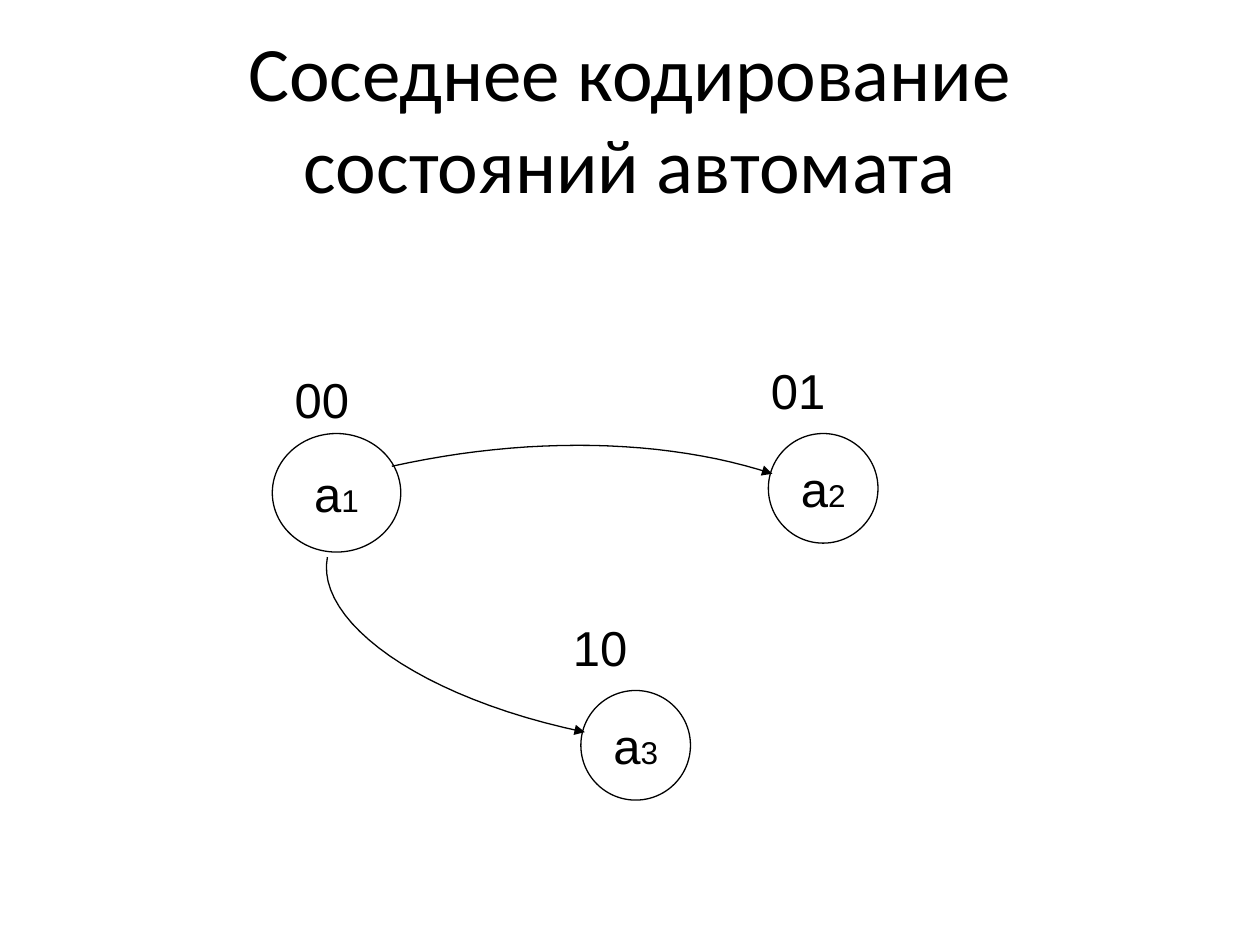
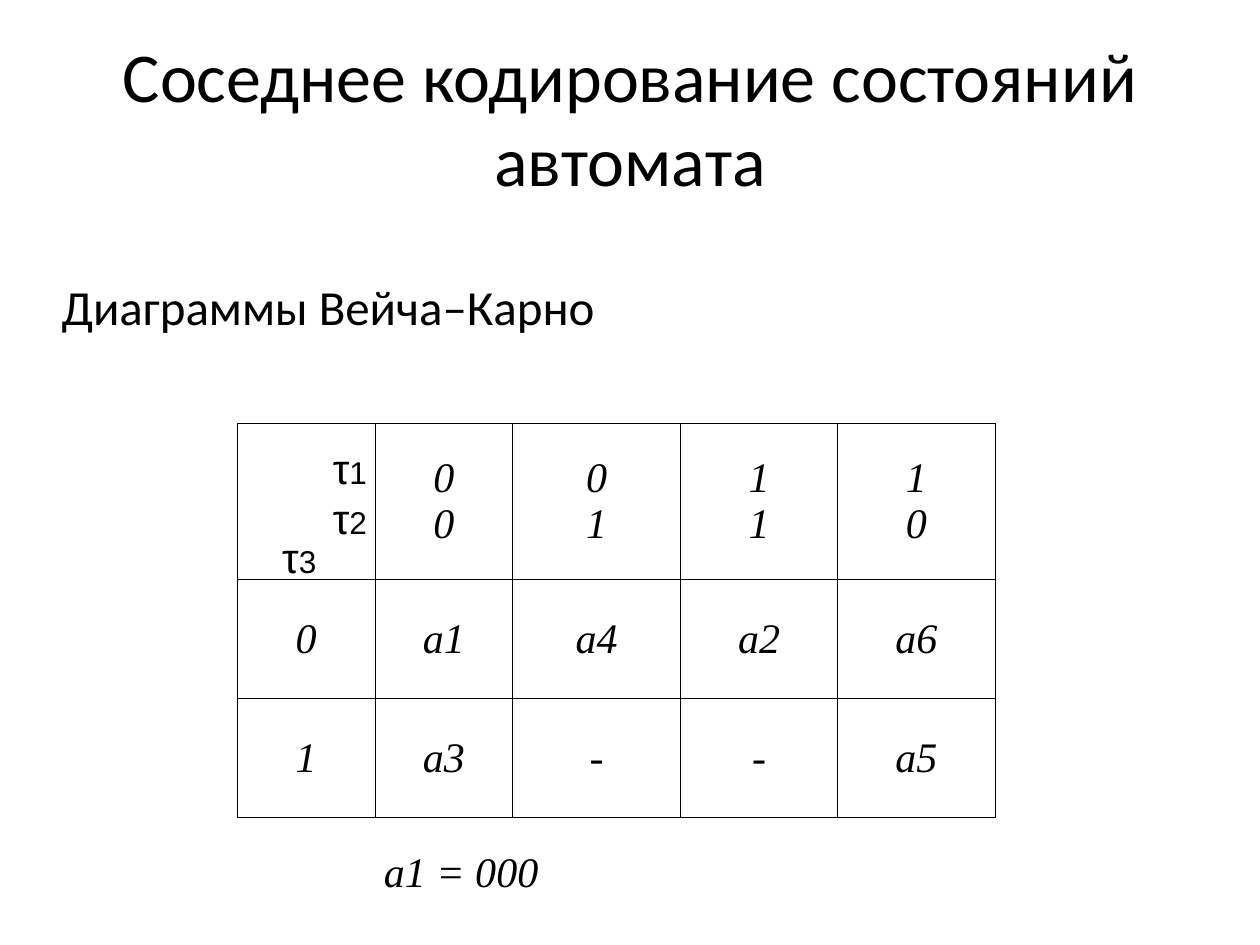
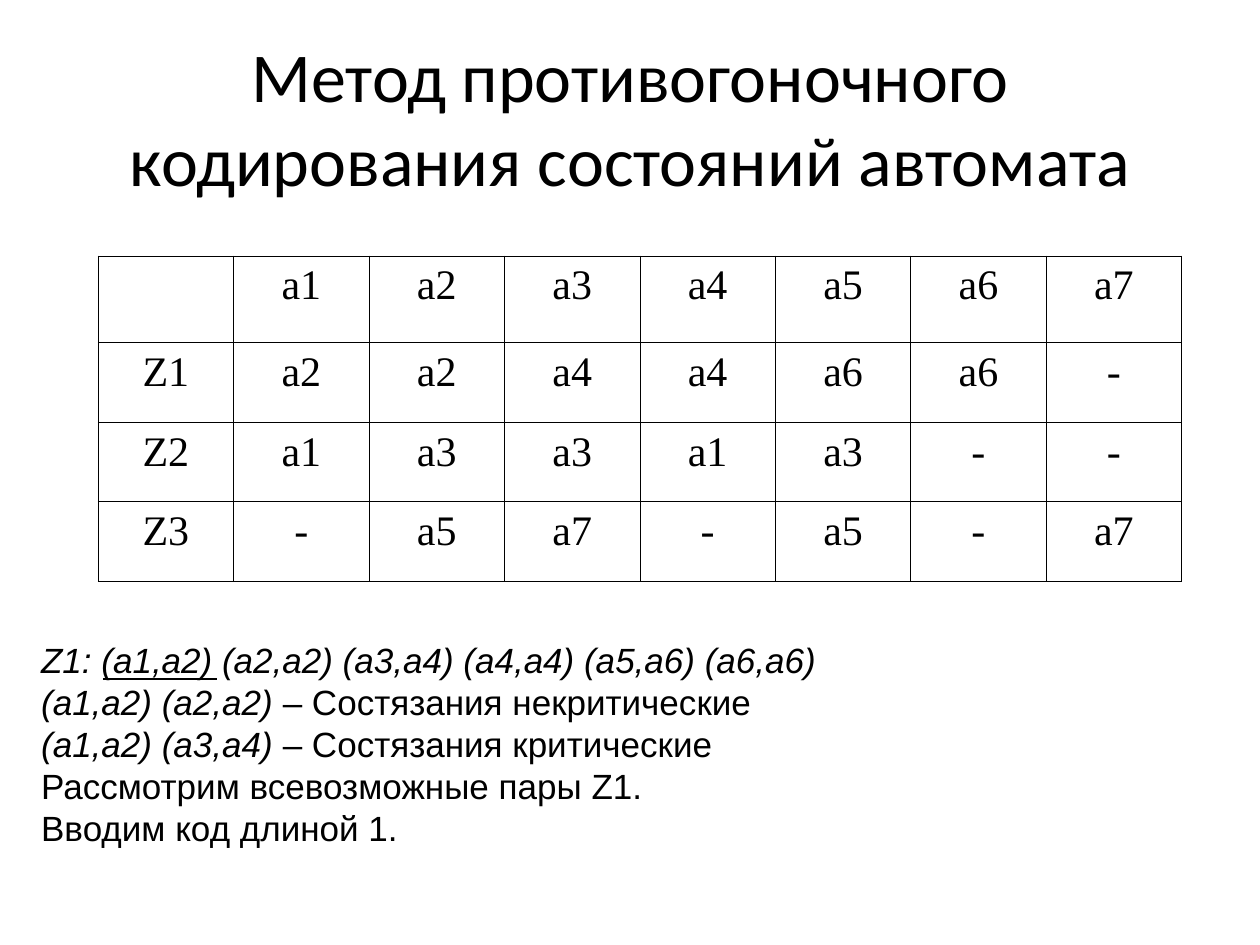
import pptx
import pptx.chart.data
import pptx.dml.color
import pptx.enum.shapes
import pptx.enum.text
import pptx.oxml
import pptx.oxml.ns
import pptx.util

Cm, Pt = pptx.util.Cm, pptx.util.Pt
PP_ALIGN = pptx.enum.text.PP_ALIGN
ANCHOR = pptx.enum.text.MSO_ANCHOR
SHAPE = pptx.enum.shapes.MSO_SHAPE

# Shared look
BLACK = pptx.dml.color.RGBColor(0, 0, 0)
SANS, SERIF, HEAD = "Arial", "Times New Roman", "Calibri"
LINE_W, BORDER_W = Pt(0.74), Pt(0.45)
TITLE_BOX = (1.27, 0.76, 22.86, 3.18)
PAD = (0.25, 0.13)
LAYOUT_BODY, LAYOUT_TITLE = 1, 5
CURVE_STEPS = 24


def set_attrs(obj, **values):
    for name, value in values.items():
        setattr(obj, name, value)


def add_runs(p, runs, name, size, **fmt):
    """Write runs given as text or as (text, differing font values)."""
    for run in runs:
        text, own = (run, {}) if isinstance(run, str) else run
        r = p.add_run()
        r.text = text
        r.font.color.rgb = BLACK
        set_attrs(r.font, **{"name": name, "size": Pt(size), **fmt, **own})


def indexed(letter, index):
    """A letter followed by its smaller index."""
    return [letter, (index, {"size": Pt(18)})]


def place(sp, left, top, width, height):
    set_attrs(sp, left=Cm(left), top=Cm(top), width=Cm(width), height=Cm(height))


def set_frame(tf, pad=PAD, wrap=True, anchor=ANCHOR.TOP):
    x, y = map(Cm, pad)
    set_attrs(tf, margin_left=x, margin_right=x, margin_top=y, margin_bottom=y,
              word_wrap=wrap, vertical_anchor=anchor,
              auto_size=pptx.enum.text.MSO_AUTO_SIZE.NONE)


def add_slide(prs, layout, title, size):
    s = prs.slides.add_slide(prs.slide_layouts[layout])
    sp = s.shapes.title
    place(sp, *TITLE_BOX)
    set_frame(sp.text_frame, anchor=ANCHOR.MIDDLE)
    p = sp.text_frame.paragraphs[0]
    p.alignment = PP_ALIGN.CENTER
    add_runs(p, [title], HEAD, size)
    return s


def add_text(s, box, lines, name, size, pad=PAD, anchor=ANCHOR.TOP,
             align=PP_ALIGN.LEFT, before=0, **fmt):
    """Text box with one paragraph for each list of runs."""
    tf = s.shapes.add_textbox(*map(Cm, box)).text_frame
    set_frame(tf, pad, anchor=anchor)
    for i, runs in enumerate(lines):
        p = tf.add_paragraph() if i else tf.paragraphs[0]
        set_attrs(p, alignment=align, space_before=Pt(before))
        add_runs(p, runs, name, size, **fmt)


def outline(sp):
    sp.line.color.rgb = BLACK
    sp.line.width = LINE_W


def add_state(s, left, top, width, height, index):
    """Circle of an automaton state."""
    sp = s.shapes.add_shape(SHAPE.OVAL, *map(Cm, (left, top, width, height)))
    sp.shadow.inherit = False
    sp.fill.background()
    outline(sp)
    set_frame(sp.text_frame, wrap=False, anchor=ANCHOR.MIDDLE)
    p = sp.text_frame.paragraphs[0]
    p.alignment = PP_ALIGN.CENTER
    add_runs(p, indexed("a", index), SANS, 28)


def add_curved_arrow(s, *points):
    """Arrow along a cubic curve with four control points."""
    def at(t):
        weights = ((1 - t) ** 3, 3 * t * (1 - t) ** 2, 3 * t * t * (1 - t), t ** 3)
        return tuple(Cm(sum(w * pt[k] for w, pt in zip(weights, points)))
                     for k in (0, 1))

    steps = [at(i / CURVE_STEPS) for i in range(CURVE_STEPS + 1)]
    fb = s.shapes.build_freeform(*steps[0])
    fb.add_line_segments(steps[1:], close=False)
    sp = fb.convert_to_shape()
    sp.shadow.inherit = False
    sp.fill.background()
    outline(sp)
    tail = pptx.oxml.parse_xml(
        f'<a:tailEnd {pptx.oxml.ns.nsdecls("a")} type="triangle"/>')
    sp.line._get_or_add_ln().append(tail)


def add_borders(cell):
    tc_pr = cell._tc.get_or_add_tcPr()
    for i, side in enumerate("LRTB"):
        tc_pr.insert(i, pptx.oxml.parse_xml(
            f'<a:ln{side} {pptx.oxml.ns.nsdecls("a")} w="{BORDER_W}">'
            f'<a:solidFill><a:srgbClr val="{BLACK}"/></a:solidFill></a:ln{side}>'))


def add_grid(s, left, top, widths, heights, rows, pad, anchor, **fmt):
    """Bordered table without fill; a newline in a cell starts a paragraph."""
    box = map(Cm, (left, top, sum(widths), sum(heights)))
    tbl = s.shapes.add_table(len(heights), len(widths), *box).table
    set_attrs(tbl, first_row=False, horz_banding=False)
    for col, width in zip(tbl.columns, widths):
        col.width = Cm(width)
    for row, height, texts in zip(tbl.rows, heights, rows):
        row.height = Cm(height)
        for cell, text in zip(row.cells, texts):
            cell.fill.background()
            add_borders(cell)
            x, y = map(Cm, pad)
            set_attrs(cell, margin_left=x, margin_right=x, margin_top=y,
                      margin_bottom=y, vertical_anchor=anchor)
            for i, line in enumerate(text.split("\n") if text else []):
                tf = cell.text_frame
                p = tf.add_paragraph() if i else tf.paragraphs[0]
                p.alignment = PP_ALIGN.CENTER
                add_runs(p, [line], SERIF, 24, **fmt)


def add_graph_slide(prs):
    s = add_slide(prs, LAYOUT_TITLE, "Соседнее кодирование состояний автомата", 44)
    # States, their codes and the transitions
    add_state(s, 5.49, 8.74, 2.59, 2.39, "1")
    add_state(s, 15.49, 8.74, 2.21, 2.21, "2")
    add_state(s, 11.71, 13.92, 2.21, 2.21, "3")
    for left, top, code in ((5.69, 7.32, "00"), (15.29, 7.14, "01"),
                            (11.3, 12.32, "10")):
        add_text(s, (left, top, 2.59, 1.45), [[code]], SANS, 28, before=17.5)
    add_curved_arrow(s, (7.9, 9.4), (10.64, 8.79), (13.41, 8.84), (15.57, 9.55))
    add_curved_arrow(s, (6.6, 11.23), (6.35, 12.52), (8.46, 14.07), (11.79, 14.76))


def add_karnaugh_slide(prs):
    s = add_slide(prs, LAYOUT_BODY, "Соседнее кодирование состояний автомата", 40)
    # Subheading
    sp = s.placeholders[1]
    place(sp, 0.99, 5.44, 22.86, 1.7)
    set_frame(sp.text_frame)
    p = sp.text_frame.paragraphs[0]
    p.space_before = Pt(7)
    add_runs(p, ["Диаграммы Вейча–Карно"], HEAD, 28)
    p_pr = p._p.get_or_add_pPr()
    p_pr.set("marL", str(Cm(0.97)))
    p_pr.set("indent", str(-Cm(0.97)))
    p_pr.append(pptx.oxml.parse_xml(f'<a:buNone {pptx.oxml.ns.nsdecls("a")}/>'))
    # Map of codes
    rows = [["", "0\n0", "0\n1", "1\n1", "1\n0"],
            ["0", "а1", "а4", "а2", "а6"],
            ["1", "а3", "-", "-", "а5"]]
    add_grid(s, 4.78, 8.53, [2.78, 2.78, 3.38, 3.17, 3.17], [3.15, 2.4, 2.4],
             rows, (0.18, 0.13), ANCHOR.MIDDLE, italic=True)
    # Variables in the corner cell
    for left, top, index in ((6.71, 8.92, "1"), (6.71, 9.93, "2"),
                             (5.69, 10.72, "3")):
        add_text(s, (left, top, 0.79, 1.02), [indexed("τ", index)], SANS, 24,
                 pad=(0, 0), before=11.2)
    add_text(s, (7.49, 16.92, 5, 1.27), [["a1 = 000"]], SERIF, 24,
             before=15, italic=True)


def add_race_slide(prs):
    s = add_slide(prs, LAYOUT_TITLE,
                  "Метод противогоночного кодирования состояний автомата", 40)
    # Transition table
    rows = [["", "a1", "a2", "a3", "a4", "a5", "a6", "a7"],
            ["Z1", "a2", "a2", "a4", "а4", "a6", "a6", "-"],
            ["Z2", "a1", "a3", "a3", "а1", "a3", "-", "-"],
            ["Z3", "-", "a5", "a7", "-", "a5", "-", "a7"]]
    add_grid(s, 1.98, 5.16, [2.73] * 8, [1.75] + [1.6] * 3, rows,
             (0.08, 0.13), ANCHOR.TOP)
    # Underline of the first pair
    ln = s.shapes.add_connector(pptx.enum.shapes.MSO_CONNECTOR.STRAIGHT,
                                *map(Cm, (2.08, 13.69, 4.37, 13.69)))
    outline(ln)
    ln._element.spPr.append(pptx.oxml.parse_xml(
        f'<a:effectLst {pptx.oxml.ns.nsdecls("a")}/>'))
    # Explanation
    slanted = {"italic": True}
    lines = [[("Z1: (a1,a2) (a2,a2) (a3,a4) (a4,a4) (a5,a6) (a6,a6)", slanted)],
             [("(а1,а2) (а2,а2)", slanted), " – Состязания некритические"],
             [("(а1,а2) (а3,а4)", slanted), " – Состязания критические"],
             ["Рассмотрим всевозможные пары Z1."],
             ["Вводим код длиной 1."]]
    add_text(s, (0.58, 12.73, 24.82, 4.5), lines, SANS, 20,
             anchor=ANCHOR.MIDDLE, align=PP_ALIGN.JUSTIFY)


def main():
    prs = pptx.Presentation()
    set_attrs(prs, slide_width=Cm(25.4), slide_height=Cm(19.05))
    add_graph_slide(prs)
    add_karnaugh_slide(prs)
    add_race_slide(prs)
    prs.save("out.pptx")


main()
